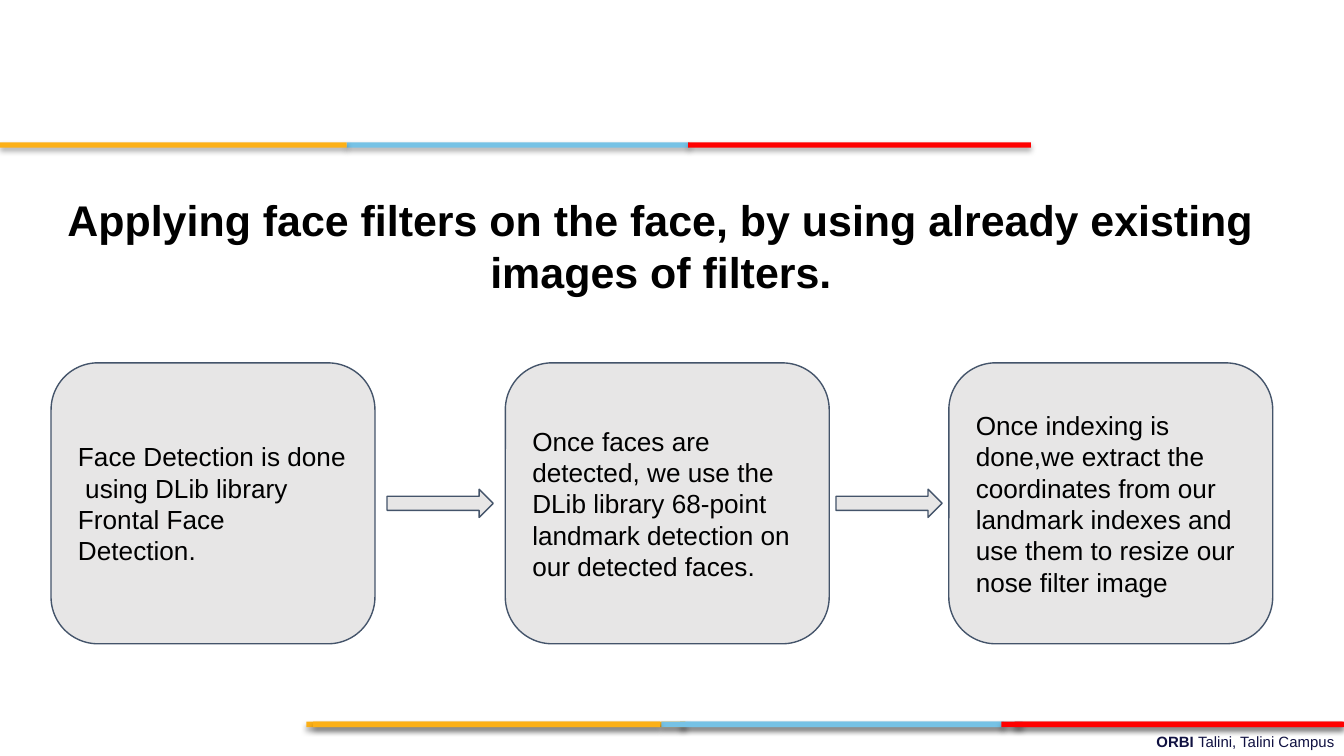
import pptx
import pptx.util
import pptx.dml.color
import pptx.enum.shapes
import pptx.enum.text
import pptx.oxml
import pptx.oxml.ns

Inches, Pt = pptx.util.Inches, pptx.util.Pt
RGBColor = pptx.dml.color.RGBColor
MSO_SHAPE = pptx.enum.shapes.MSO_SHAPE
ANCHOR, ALIGN = pptx.enum.text.MSO_ANCHOR, pptx.enum.text.PP_ALIGN

BLACK = RGBColor(0x00, 0x00, 0x00)
NAVY = RGBColor(0x10, 0x11, 0x41)
SLATE = RGBColor(0x44, 0x54, 0x6A)
GREY = RGBColor(0xE7, 0xE6, 0xE6)
YELLOW = RGBColor(0xFC, 0xB0, 0x17)
BLUE = RGBColor(0x76, 0xC2, 0xE5)
CRIMSON = RGBColor(0xE3, 0x1C, 0x24)
RED = RGBColor(0xFF, 0x00, 0x00)

SHADOW = (
    f'<a:outerShdw {pptx.oxml.ns.nsdecls("a")} blurRad="{Pt(3.1)}" dist="{Pt(1.8)}"'
    ' dir="5400000" rotWithShape="0"><a:srgbClr val="000000">'
    '<a:alpha val="35000"/></a:srgbClr></a:outerShdw>'
)

STEPS = [
    (0.38, "Face Detection is done  using DLib library Frontal Face Detection."),
    (3.76, "Once faces are detected, we use the DLib library 68-point landmark "
           "detection on our detected faces."),
    (7.06, "Once indexing is done,we extract the coordinates from our landmark "
           "indexes and use them to resize our nose filter image"),
]
ARROWS = [2.88, 6.22]

# Stripe segments as (left, width, colour)
HEADER = [(2.58, 2.55, BLUE), (0, 2.58, YELLOW), (5.12, 2.55, RED)]
FOOTER = [
    (5.06, 2.55, BLUE), (7.55, 2.44, CRIMSON), (2.28, 2.82, YELLOW),
    (4.92, 2.55, BLUE), (2.33, 2.58, YELLOW), (7.45, 2.55, RED),
]


def set_attrs(obj, values):
    for name, value in values.items():
        setattr(obj, name, value)


def add_shape(slide, kind, box, fill, line=None):
    sp = slide.shapes.add_shape(kind, *map(Inches, box))
    sp.fill.solid()
    sp.fill.fore_color.rgb = fill
    if line is None:
        sp.line.fill.background()
    else:
        sp.line.color.rgb = line
        sp.line.width = Pt(0.75)
    sp.shadow.inherit = False
    return sp


def write(sp, runs, size, color, align, anchor, insets):
    """Fill a shape with one paragraph of (text, bold) runs."""
    tf = sp.text_frame
    sides = ("margin_left", "margin_top", "margin_right", "margin_bottom")
    set_attrs(tf, {"word_wrap": True, "vertical_anchor": anchor,
                   **dict(zip(sides, map(Inches, insets)))})
    p = tf.paragraphs[0]
    p.alignment = align
    for text, bold in runs:
        r = p.add_run()
        r.text = text
        set_attrs(r.font, {"name": "Arial", "size": Pt(size), "bold": bold})
        r.font.color.rgb = color


def add_stripe(slide, top, segments):
    for left, width, color in segments:
        sp = add_shape(slide, MSO_SHAPE.RECTANGLE, (left, top, width, 0.04), color)
        effects = sp._element.spPr.find(pptx.oxml.ns.qn("a:effectLst"))
        effects.append(pptx.oxml.parse_xml(SHADOW))


def add_footer(slide, left, top, width, height):
    sp = slide.shapes.add_textbox(*map(Inches, (left, top, width, height)))
    write(sp, [("ORBI ", True), ("Talini, Talini Campus", False)], 8, NAVY,
          ALIGN.RIGHT, ANCHOR.TOP, (0.07, 0.04, 0.07, 0.04))
    add_stripe(slide, top - 0.04, FOOTER)


def add_title(slide, left, top, width, height):
    sp = slide.shapes.add_textbox(*map(Inches, (left, top, width, height)))
    text = "Applying face filters on the face, by using already existing images of filters."
    write(sp, [(text, True)], 23, BLACK, ALIGN.CENTER, ANCHOR.BOTTOM, (0,) * 4)


def add_process(slide, top, width, height):
    # Step boxes
    for left, text in STEPS:
        sp = add_shape(slide, MSO_SHAPE.FLOWCHART_ALTERNATE_PROCESS,
                       (left, top, width, height), GREY, SLATE)
        write(sp, [(text, False)], 14, BLACK, ALIGN.LEFT, ANCHOR.MIDDLE, (0.1,) * 4)
    # Arrows centred on the boxes
    arrow_w, arrow_h = 0.79, 0.21
    for left in ARROWS:
        box = (left, top + (height - arrow_h) / 2, arrow_w, arrow_h)
        add_shape(slide, MSO_SHAPE.RIGHT_ARROW, box, GREY, SLATE)


def main():
    prs = pptx.Presentation()
    # 16:9 page
    prs.slide_width = Inches(10)
    prs.slide_height = prs.slide_width * 9 // 16
    slide = prs.slides.add_slide(prs.slide_layouts[6])
    add_footer(slide, 3.58, 5.41, 6.42, 0.21)
    add_stripe(slide, 1.06, HEADER)
    add_title(slide, 0.26, 1.21, 9.32, 1)
    add_process(slide, 2.7, 2.41, 2.09)
    prs.save("out.pptx")


if __name__ == "__main__":
    main()
